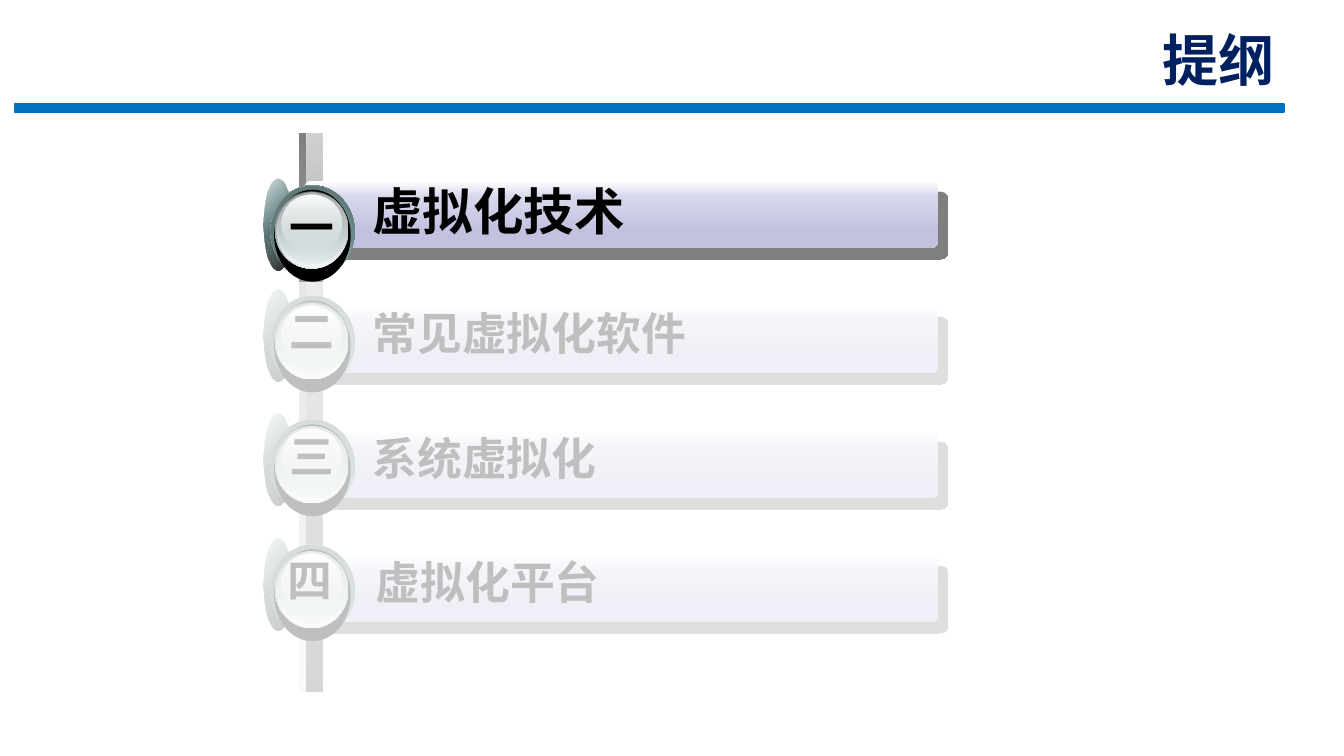
"""Build an outline slide with four numbered topics on a vertical rail."""
from dataclasses import dataclass

from lxml.etree import SubElement
from pptx import Presentation
from pptx.dml.color import RGBColor
from pptx.enum.shapes import MSO_SHAPE
from pptx.enum.text import MSO_ANCHOR, MSO_AUTO_SIZE, PP_ALIGN
from pptx.oxml.ns import qn
from pptx.shapes.autoshape import Shape
from pptx.util import Cm, Pt

COLORS = {
    "rule": "0070C0", "heading": "002060", "black": "000000", "white": "FFFFFF",
    "rail_dark": "808080", "rail_pale": "ECECEC", "rail_light": "CFCFCF",
    "rail_deep": "5F5F5F", "bar_light": "D6D6EB", "bar": "C2C2E0",
    "teal": "83A6A7", "teal_dark": "475A5A", "teal_mid": "53696A",
    "face": "D6E1E2", "face_dark": "636869", "face_pale": "F1F5F5",
    "face_grey": "AAB2B3",
}
BODY_FONT = "Noto Sans CJK SC"
HEADING_FONT = "Roboto"
BAR_RIGHT = 23.65


@dataclass(frozen=True)
class Box:
    left: float
    top: float
    width: float
    height: float

    def lengths(self) -> tuple[Cm, Cm, Cm, Cm]:
        return Cm(self.left), Cm(self.top), Cm(self.width), Cm(self.height)


@dataclass(frozen=True)
class Stop:
    position: int
    color: str
    alpha: int = 100


@dataclass(frozen=True)
class Paint:
    stops: tuple[Stop, ...]
    angle: int = 90


@dataclass(frozen=True)
class Layer:
    box: Box
    paint: Paint


@dataclass(frozen=True)
class Topic:
    numeral: str
    title: str
    bar_top: float
    disc_top: float
    numeral_top: float
    size: int = 32
    title_height: float = 1.63
    bar_left: float = 7.67
    title_left: float = 9.14
    numeral_left: float = 7.04


def blend(first: Stop, *others: Stop, angle: int = 90) -> Paint:
    return Paint((first, *others), angle)


SIDE = Box(6.65, 0, 0.71, 2.32)
RIM = Box(6.81, 0.17, 2.13, 2.32)
BAR_PAINT = blend(Stop(0, "white"), Stop(25, "bar_light"), Stop(75, "bar"))
DISC_LAYERS = (
    Layer(SIDE, blend(Stop(0, "white"), Stop(50, "teal"), Stop(100, "white"), angle=45)),
    Layer(SIDE, blend(Stop(0, "teal", 32), Stop(100, "black", 90), angle=45)),
    Layer(RIM, blend(Stop(0, "teal_dark"), Stop(50, "teal"), Stop(100, "teal_dark"), angle=315)),
    Layer(RIM, blend(Stop(0, "teal_mid"), Stop(100, "teal", 0), angle=45)),
    Layer(Box(6.91, 0.28, 1.93, 2.32), blend(Stop(0, "black"))),
    Layer(Box(6.93, 0.32, 1.85, 1.95), blend(Stop(0, "face_dark"), Stop(100, "face"))),
    Layer(Box(6.96, 0.33, 1.8, 1.91), blend(Stop(0, "face", 0), Stop(100, "face_pale"))),
    Layer(Box(6.99, 0.35, 1.73, 1.79), blend(Stop(0, "face_grey"), Stop(100, "face", 48))),
    Layer(Box(7.09, 0.4, 1.52, 1.45), blend(Stop(0, "white"), Stop(100, "face", 38))),
)
RAILS = (
    Layer(Box(7.54, 3.35, 0.18, 14.1), blend(Stop(0, "rail_dark"), Stop(100, "rail_pale"))),
    Layer(Box(7.72, 3.35, 0.43, 14.1), blend(Stop(0, "rail_light"), Stop(100, "rail_deep"))),
)
TOPICS = (
    Topic("一", "虚拟化技术", 4.55, 4.5, 5.03, size=36, title_height=3.25),
    Topic("三", "系统虚拟化", 10.85, 10.41, 10.8),
    Topic("四", "虚拟化平台", 13.97, 13.56, 13.92,
          bar_left=7.44, title_left=9.22, numeral_left=6.99),
    Topic("二", "常见虚拟化软件", 7.7, 7.29, 7.65),
)


def add_color(parent, color: str, alpha: int) -> None:
    element = SubElement(parent, qn("a:srgbClr"), val=COLORS[color])
    if alpha < 100:
        SubElement(element, qn("a:alpha"), val=str(alpha * 1000))


def apply_paint(shape: Shape, paint: Paint) -> None:
    properties = shape.element.spPr
    if len(paint.stops) == 1:
        shape.fill.solid()
        shape.fill.fore_color.rgb = RGBColor.from_string(COLORS[paint.stops[0].color])
        if paint.stops[0].alpha < 100:
            color = properties.find(qn("a:solidFill"))[0]
            SubElement(color, qn("a:alpha"), val=str(paint.stops[0].alpha * 1000))
        return
    shape.fill.gradient()
    shape.fill.gradient_angle = 360 - paint.angle
    stop_list = properties.find(qn("a:gradFill")).find(qn("a:gsLst"))
    for element in list(stop_list):
        stop_list.remove(element)
    for stop in paint.stops:
        element = SubElement(stop_list, qn("a:gs"), pos=str(stop.position * 1000))
        add_color(element, stop.color, stop.alpha)


def add_painted(shapes, kind: MSO_SHAPE, box: Box, paint: Paint) -> Shape:
    shape = shapes.add_shape(kind, *box.lengths())
    shape.shadow.inherit = False
    shape.line.fill.background()
    apply_paint(shape, paint)
    return shape


def add_label(shapes, box: Box, text: str, size: int, font: str = BODY_FONT,
              color: str = "black", wrap: bool = True) -> Shape:
    label = shapes.add_textbox(*box.lengths())
    frame = label.text_frame
    frame.word_wrap = wrap
    frame.margin_top = frame.margin_bottom = 0
    run = frame.paragraphs[0].add_run()
    run.text = text
    run.font.size = Pt(size)
    run.font.bold = True
    run.font.name = font
    run.font.color.rgb = RGBColor.from_string(COLORS[color])
    SubElement(run._r.get_or_add_rPr(), qn("a:ea"), typeface=font)
    return label


def add_bar(shapes, topic: Topic) -> None:
    box = Box(topic.bar_left, topic.bar_top, BAR_RIGHT - topic.bar_left, 1.7)
    bar = add_painted(shapes, MSO_SHAPE.ROUNDED_RECTANGLE, box, BAR_PAINT)
    bar.adjustments[0] = 0.11
    effects = bar.element.spPr.find(qn("a:effectLst"))
    shadow = SubElement(effects, qn("a:outerShdw"), blurRad="0", dist=str(Pt(10.6)),
                        dir=str(49 * 60000), algn="ctr", rotWithShape="0")
    add_color(shadow, "black", 50)


def add_topic(slide, topic: Topic) -> None:
    shapes = slide.shapes.add_group_shape().shapes
    add_bar(shapes, topic)
    title_box = Box(topic.title_left, topic.bar_top, 13.13, topic.title_height)
    add_label(shapes, title_box, topic.title, topic.size)
    for layer in DISC_LAYERS:
        box = Box(layer.box.left, topic.disc_top + layer.box.top,
                  layer.box.width, layer.box.height)
        add_painted(shapes, MSO_SHAPE.OVAL, box, layer.paint)
    numeral_box = Box(topic.numeral_left, topic.numeral_top, 1.6, 1.64)
    numeral = add_label(shapes, numeral_box, topic.numeral, 32, wrap=False)
    numeral.text_frame.auto_size = MSO_AUTO_SIZE.SHAPE_TO_FIT_TEXT


def main() -> None:
    presentation = Presentation()
    presentation.slide_width = Cm(33.87)
    presentation.slide_height = Cm(19.05)
    slide = presentation.slides.add_slide(presentation.slide_layouts[6])

    rule = add_painted(slide.shapes, MSO_SHAPE.RECTANGLE,
                       Box(0.36, 2.62, 32, 0.2), blend(Stop(0, "rule")))
    rule.line.color.rgb = RGBColor.from_string(COLORS["rule"])
    rule.line.width = Pt(1)
    heading = add_label(slide.shapes, Box(16.28, 0.86, 16.08, 1.47), "提纲", 40,
                        HEADING_FONT, "heading")
    heading.text_frame.vertical_anchor = MSO_ANCHOR.BOTTOM
    heading.text_frame.paragraphs[0].alignment = PP_ALIGN.RIGHT

    rail_shapes = slide.shapes.add_group_shape().shapes
    for rail in RAILS:
        add_painted(rail_shapes, MSO_SHAPE.RECTANGLE, rail.box, rail.paint)
    for topic in TOPICS:
        add_topic(slide, topic)
    add_painted(slide.shapes, MSO_SHAPE.RECTANGLE, Box(3, 7.11, 23.01, 11.66),
                blend(Stop(0, "white", 75)))
    presentation.save("out.pptx")


if __name__ == "__main__":
    main()
